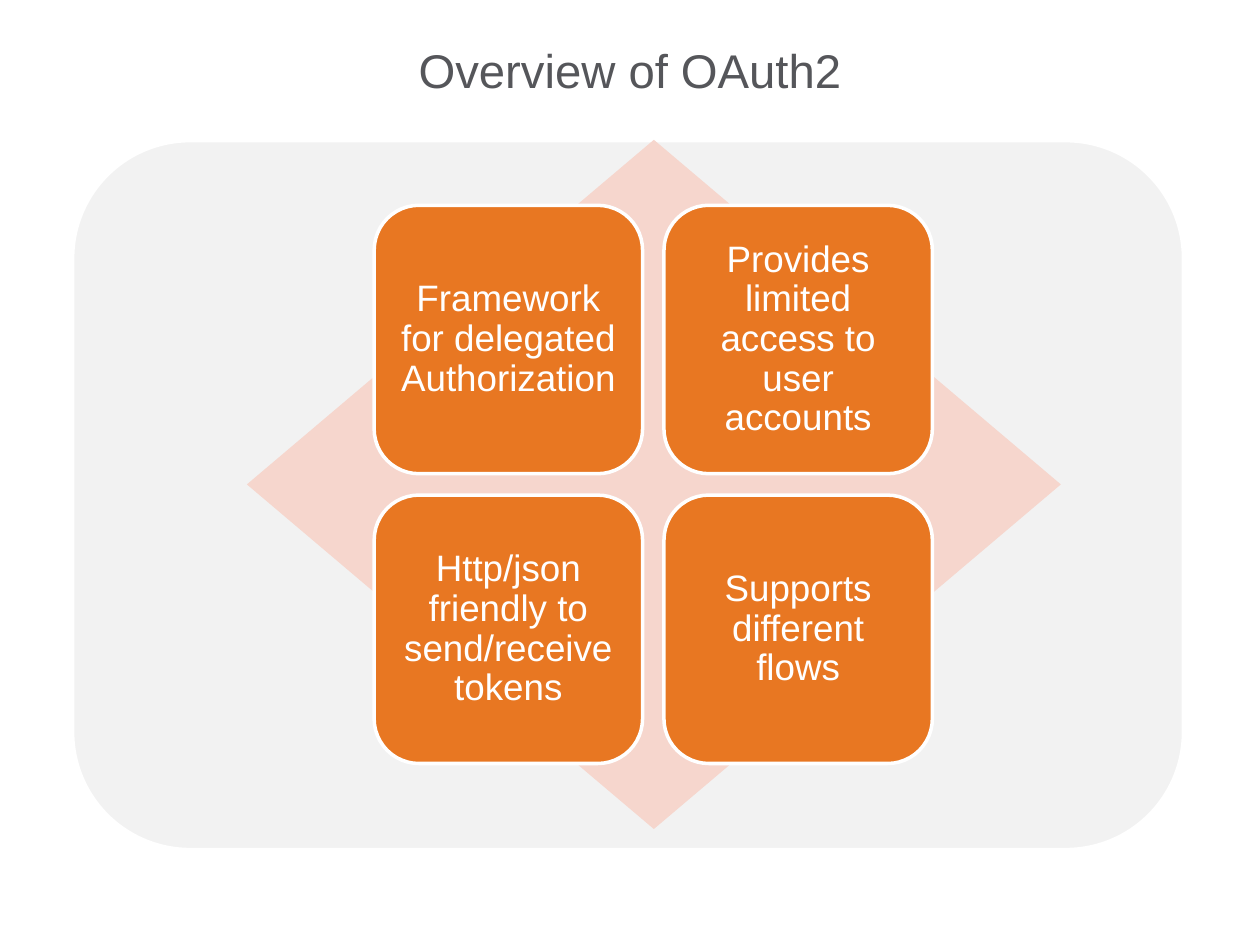
"""Build the OAuth2 overview slide: four cards in a grid over a diamond."""
import pptx
import pptx.dml.color
import pptx.enum.shapes
import pptx.enum.text
import pptx.util

Inches, Pt = pptx.util.Inches, pptx.util.Pt
SHAPE = pptx.enum.shapes.MSO_SHAPE
ANCHOR = pptx.enum.text.MSO_ANCHOR

THEME = {
    "font": "Arial",
    "title_size": 27,
    "card_size": 21,
    "title": "55565A",
    "panel": "F2F2F2",
    "diamond": "F6D6CD",
    "card": "E87722",
    "white": "FFFFFF",
}
CARDS = [
    ["Framework for delegated Authorization", "Provides limited access to user accounts"],
    ["Http/json friendly to send/receive tokens", "Supports different flows"],
]
GRID_LEFT, GRID_TOP = 2.97, 1.63
CARD, PITCH = 2.13, 2.3


def add_block(kind, box, fill, line_width=0):
    sp = s.shapes.add_shape(kind, *map(Inches, box))
    sp.shadow.inherit = False
    sp.fill.solid()
    sp.fill.fore_color.rgb = pptx.dml.color.RGBColor.from_string(THEME[fill])
    if line_width:
        sp.line.color.rgb = pptx.dml.color.RGBColor.from_string(THEME["white"])
        sp.line.width = Pt(line_width)
    else:
        sp.line.fill.background()
    return sp


def write(sp, text, size, color, anchor, inset, spacing):
    tf = sp.text_frame
    tf.word_wrap = True
    tf.vertical_anchor = anchor
    tf.margin_left = tf.margin_right = tf.margin_top = tf.margin_bottom = Inches(inset)
    p = tf.paragraphs[0]
    p.alignment = pptx.enum.text.PP_ALIGN.CENTER
    p.line_spacing = spacing
    r = p.add_run()
    r.text = text
    r.font.name = THEME["font"]
    r.font.size = Pt(THEME[size])
    r.font.color.rgb = pptx.dml.color.RGBColor.from_string(THEME[color])


prs = pptx.Presentation()
prs.slide_width, prs.slide_height = Inches(10), Inches(7.5)
s = prs.slides.add_slide(prs.slide_layouts[6])

title = s.shapes.add_textbox(*map(Inches, (0.5, 0.3, 9, 0.48)))
write(title, "Overview of OAuth2", "title_size", "title", ANCHOR.BOTTOM, 0, 1.0)

add_block(SHAPE.ROUNDED_RECTANGLE, (0.57, 1.11, 8.83, 5.64), "panel", 3)
add_block(SHAPE.DIAMOND, (1.96, 1.11, 6.46, 5.47), "diamond")

for row, texts in enumerate(CARDS):
    for col, text in enumerate(texts):
        box = (GRID_LEFT + col * PITCH, GRID_TOP + row * PITCH, CARD, CARD)
        card = add_block(SHAPE.ROUNDED_RECTANGLE, box, "card", 2)
        write(card, text, "card_size", "white", ANCHOR.MIDDLE, 0.09, 0.9)

prs.save("out.pptx")
